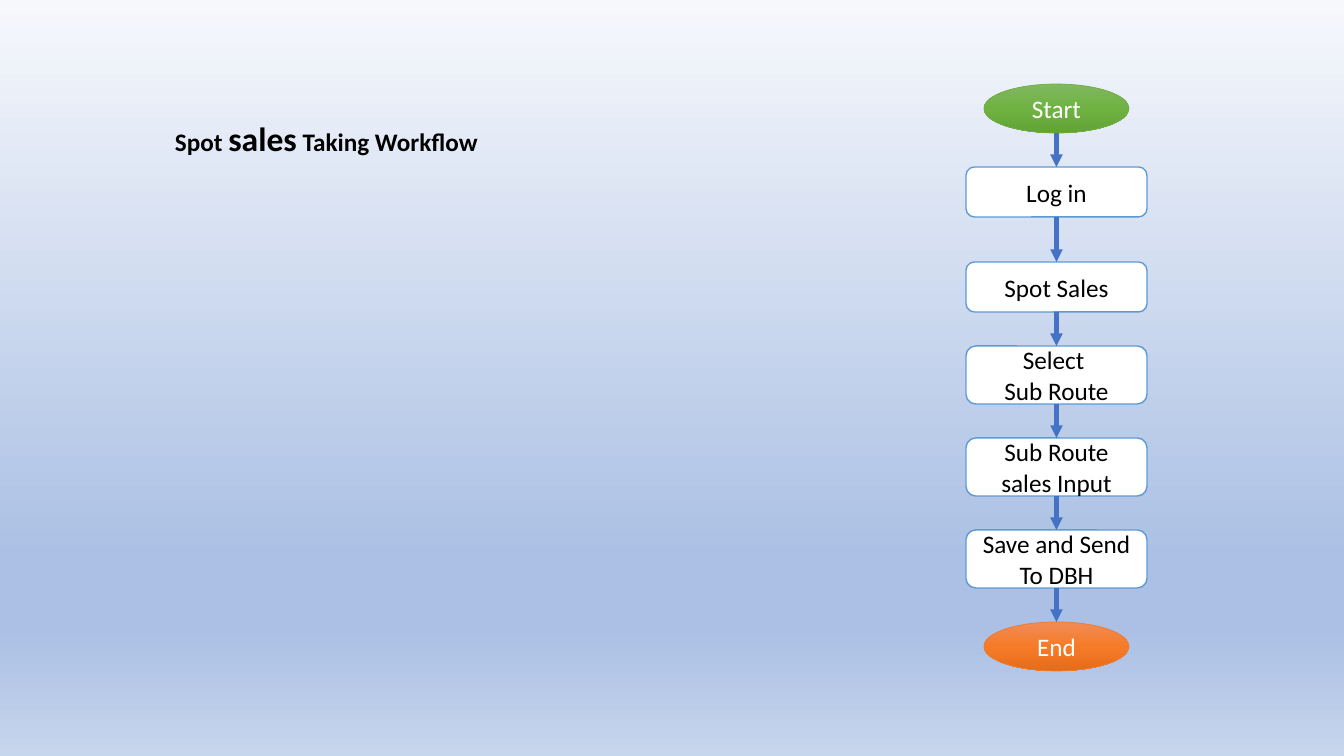
from itertools import pairwise

from lxml.etree import SubElement
from pptx import Presentation
from pptx.dml.color import RGBColor
from pptx.enum.shapes import MSO_CONNECTOR, MSO_SHAPE
from pptx.enum.text import MSO_ANCHOR, MSO_AUTO_SIZE, PP_ALIGN
from pptx.oxml.ns import qn
from pptx.util import Emu, Pt

SLIDE_WIDTH, SLIDE_HEIGHT = 1344, 756
EMU_PER_PX = 12192000 / SLIDE_WIDTH
FONT = "Calibri"
TOP, BOTTOM = 0, 2

WHITE = RGBColor(0xFF, 0xFF, 0xFF)
BLACK = RGBColor(0x00, 0x00, 0x00)
STEP_LINE = RGBColor(0x5B, 0x9B, 0xD5)
ARROW_BLUE = RGBColor(0x44, 0x72, 0xC4)
START_LINE = RGBColor(0x70, 0xAD, 0x47)
END_LINE = RGBColor(0xED, 0x7D, 0x31)
MIST = RGBColor(0xF6, 0xF8, 0xFC)
PERIWINKLE = RGBColor(0xAB, 0xC0, 0xE4)
PALE_BLUE = RGBColor(0xC7, 0xD5, 0xED)

BACKGROUND_STOPS = [(0, MIST), (74, PERIWINKLE), (83, PERIWINKLE), (100, PALE_BLUE)]
START_STOPS = [(0, RGBColor(0x81, 0xB8, 0x61)), (50, RGBColor(0x6F, 0xB2, 0x42)),
               (100, RGBColor(0x62, 0xA3, 0x36))]
END_STOPS = [(0, RGBColor(0xF1, 0x8C, 0x57)), (50, RGBColor(0xF6, 0x7B, 0x28)),
             (100, RGBColor(0xE5, 0x6C, 0x19))]

TERMINAL_WIDTH, TERMINAL_HEIGHT = 145, 49
# Each step: lines of text, height, gap above it
STEPS = [
    (["Log in"], 50, 34),
    (["Spot Sales"], 50, 45),
    (["Select ", "Sub Route"], 58, 34),
    (["Sub Route sales Input"], 58, 34),
    (["Save and Send To DBH"], 58, 34),
]
END_GAP = 34


def px(length):
    return Emu(round(length * EMU_PER_PX))


def set_vertical_gradient(fill, element, stops):
    """Fill top to bottom; element is the XML element that holds the fill."""
    fill.gradient()
    fill.gradient_angle = 270
    stop_list = element.find(".//" + qn("a:gsLst"))
    for old_stop in list(stop_list):
        stop_list.remove(old_stop)
    for percent, color in stops:
        stop = SubElement(stop_list, qn("a:gs"), pos=str(percent * 1000))
        SubElement(stop, qn("a:srgbClr"), val=str(color))


def add_run(paragraph, text, size, color, bold=False):
    run = paragraph.add_run()
    run.text = text
    run.font.name = FONT
    run.font.size = Pt(size)
    run.font.bold = bold
    run.font.color.rgb = color


def add_node(slide, kind, box, lines, text_color, line_color, line_width):
    shape = slide.shapes.add_shape(kind, *map(px, box))
    shape.shadow.inherit = False
    shape.line.color.rgb = line_color
    shape.line.width = Pt(line_width)
    frame = shape.text_frame
    frame.word_wrap = True
    frame.vertical_anchor = MSO_ANCHOR.MIDDLE
    for index, line in enumerate(lines):
        paragraph = frame.add_paragraph() if index else frame.paragraphs[0]
        paragraph.alignment = PP_ALIGN.CENTER
        add_run(paragraph, line, 18, text_color)
    return shape


def add_terminal(slide, left, top, label, stops, line_color):
    box = (left, top, TERMINAL_WIDTH, TERMINAL_HEIGHT)
    shape = add_node(slide, MSO_SHAPE.OVAL, box, [label], WHITE, line_color, 0.5)
    set_vertical_gradient(shape.fill, shape.element, stops)
    return shape


def add_step(slide, box, lines):
    shape = add_node(slide, MSO_SHAPE.ROUNDED_RECTANGLE, box, lines, BLACK, STEP_LINE, 1)
    shape.fill.solid()
    shape.fill.fore_color.rgb = WHITE
    return shape


def add_arrow(slide, upper, lower):
    center = upper.left + upper.width // 2
    arrow = slide.shapes.add_connector(
        MSO_CONNECTOR.STRAIGHT, center, upper.top + upper.height, center, lower.top)
    if upper.auto_shape_type == MSO_SHAPE.ROUNDED_RECTANGLE:
        arrow.begin_connect(upper, BOTTOM)
    arrow.end_connect(lower, TOP)
    arrow.line.color.rgb = ARROW_BLUE
    arrow.line.width = Pt(3)
    properties = arrow.element.spPr
    SubElement(properties.find(qn("a:ln")), qn("a:tailEnd"), type="triangle")
    SubElement(properties, qn("a:effectLst"))


def add_flow(slide, left, top, width):
    """Stack the nodes downwards from top, then join each to the next."""
    terminal_left = left + (width - TERMINAL_WIDTH) // 2
    nodes = [add_terminal(slide, terminal_left, top, "Start", START_STOPS, START_LINE)]
    bottom = top + TERMINAL_HEIGHT
    for lines, height, gap in STEPS:
        nodes.append(add_step(slide, (left, bottom + gap, width, height), lines))
        bottom += gap + height
    nodes.append(add_terminal(slide, terminal_left, bottom + END_GAP, "End",
                              END_STOPS, END_LINE))
    for upper, lower in pairwise(nodes):
        add_arrow(slide, upper, lower)


def add_title(slide, left, top, width, height):
    text_box = slide.shapes.add_textbox(*map(px, (left, top, width, height)))
    frame = text_box.text_frame
    frame.word_wrap = False
    frame.auto_size = MSO_AUTO_SIZE.SHAPE_TO_FIT_TEXT
    for text, size in [("Spot ", 18), ("sales", 24), (" Taking Workflow", 18)]:
        add_run(frame.paragraphs[0], text, size, BLACK, bold=True)


def main():
    presentation = Presentation()
    presentation.slide_width = px(SLIDE_WIDTH)
    presentation.slide_height = px(SLIDE_HEIGHT)
    slide = presentation.slides.add_slide(presentation.slide_layouts[6])
    set_vertical_gradient(slide.background.fill, slide.element, BACKGROUND_STOPS)
    add_flow(slide, 966, 84, 181)
    add_title(slide, 165, 113, 341, 50)
    presentation.save("out.pptx")


if __name__ == "__main__":
    main()
